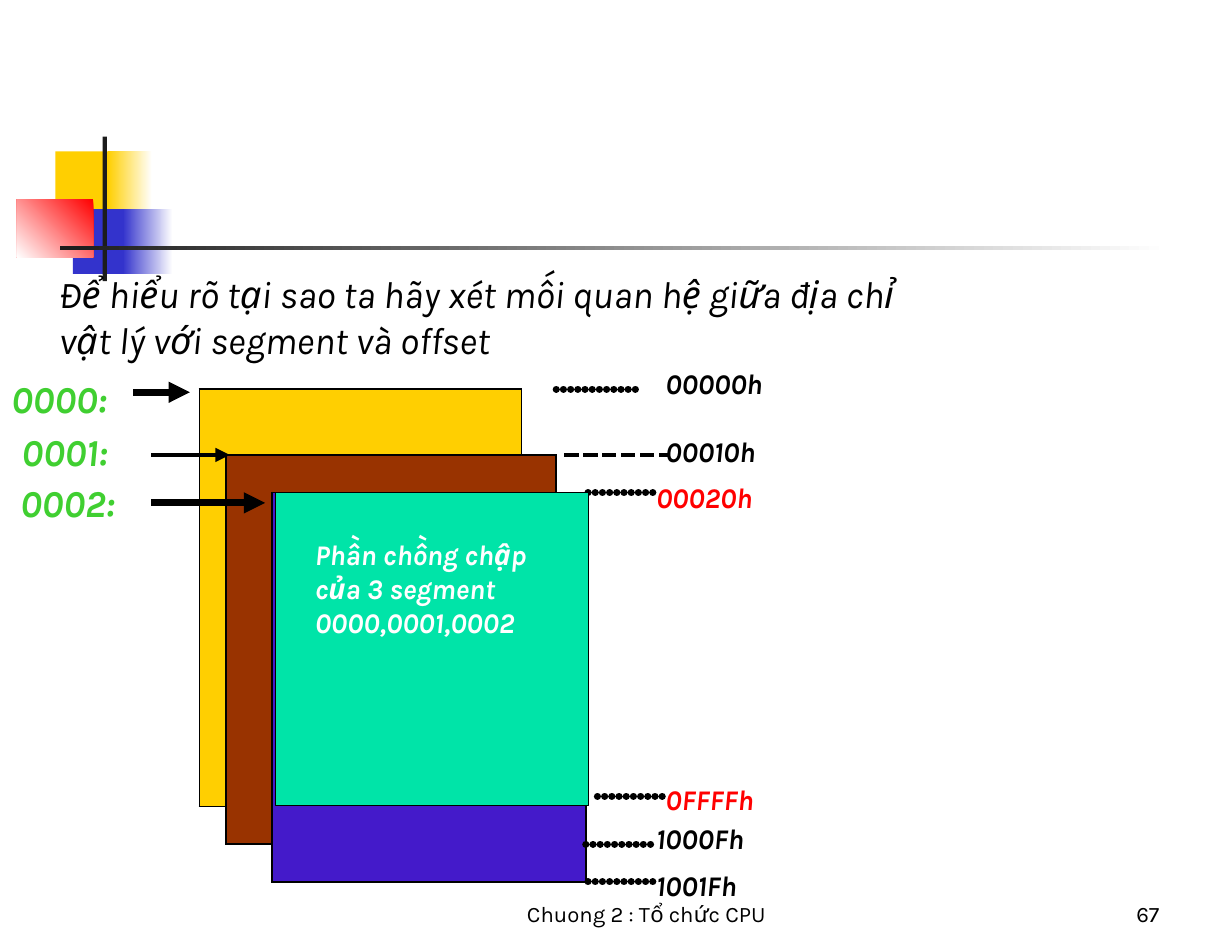
from dataclasses import dataclass

from lxml import etree
from pptx import Presentation
from pptx.dml.color import RGBColor
from pptx.enum.dml import MSO_LINE
from pptx.enum.shapes import MSO_CONNECTOR, MSO_SHAPE
from pptx.enum.text import MSO_ANCHOR as Anchor, MSO_AUTO_SIZE as AutoSize, PP_ALIGN as Align
from pptx.oxml import parse_xml
from pptx.oxml.ns import nsdecls, qn
from pptx.util import Cm, Pt


@dataclass(frozen=True)
class Theme:
    font: str = "Karla"
    heading_size: float = 24
    label_size: float = 18
    footer_size: float = 14
    black: str = "000000"
    white: str = "FFFFFF"
    red: str = "FF0000"
    yellow: str = "FFCF01"
    blue: str = "3333CC"
    charcoal: str = "1C1C1C"
    brown: str = "993300"
    indigo: str = "441ACA"
    mint: str = "00E4A8"
    green: str = "40CF31"
    thin_line: float = 3
    thick_line: float = 4.5
    border: float = 1.08
    outline: float = 0.75


THEME = Theme()


def rgb(value):
    return RGBColor.from_string(value)


class SegmentSlide:
    def __init__(self, slide, theme):
        self.shapes = slide.shapes
        self.theme = theme

    def rectangle(self, place, color, gradient_to=None, angle=180, outlined=False):
        box = self.shapes.add_shape(MSO_SHAPE.RECTANGLE, *map(Cm, place))
        box.shadow.inherit = False
        if gradient_to:
            box.fill.gradient()
            box.fill.gradient_angle = angle
            for stop, stop_color in zip(box.fill.gradient_stops, (color, gradient_to)):
                stop.color.rgb = rgb(stop_color)
        else:
            box.fill.solid()
            box.fill.fore_color.rgb = rgb(color)
        if outlined:
            box.line.color.rgb = rgb(self.theme.black)
            box.line.width = Pt(self.theme.outline)
        else:
            box.line.fill.background()

    def text(self, text, place, size=None, color=None, bold=False, italic=True,
             align=Align.LEFT, anchor=Anchor.TOP, grow=True):
        box = self.shapes.add_textbox(*map(Cm, place))
        frame = box.text_frame
        frame.word_wrap = True
        frame.vertical_anchor = anchor
        frame.auto_size = AutoSize.SHAPE_TO_FIT_TEXT if grow else AutoSize.NONE
        para = frame.paragraphs[0]
        para.alignment = align
        span = para.add_run()
        span.text = text
        font = span.font
        font.name = self.theme.font
        font.size = Pt(size or self.theme.label_size)
        font.bold, font.italic = bold, italic
        font.color.rgb = rgb(color or self.theme.black)

    def segment(self, place, color):
        """Draw one memory segment as a bordered one-cell table."""
        table = self.shapes.add_table(1, 1, *map(Cm, place)).table
        table.first_row = table.horz_banding = False
        cell = table.cell(0, 0)
        properties = cell._tc.get_or_add_tcPr()
        for side in ("lnL", "lnR", "lnT", "lnB"):
            properties.append(parse_xml(
                f'<a:{side} {nsdecls("a")} w="{Pt(self.theme.border)}"><a:solidFill>'
                f'<a:srgbClr val="{self.theme.black}"/></a:solidFill></a:{side}>'))
        cell.fill.solid()
        cell.fill.fore_color.rgb = rgb(color)

    def line(self, left, right, y, width):
        connector = self.shapes.add_connector(
            MSO_CONNECTOR.STRAIGHT, Cm(left), Cm(y), Cm(right), Cm(y))
        connector.line.color.rgb = rgb(self.theme.black)
        connector.line.width = Pt(width)
        etree.SubElement(connector._element.spPr, qn("a:effectLst"))
        return connector

    def arrow(self, left, right, y, width):
        outline = self.line(left, right, y, width).get_or_add_ln()
        etree.SubElement(outline, qn("a:tailEnd"), type="triangle")

    def square_dots(self, left, right, y):
        connector = self.line(left, right, y, self.theme.thin_line)
        connector.line.dash_style = MSO_LINE.SQUARE_DOT

    def round_dots(self, left, right, y):
        """Draw touching round dots: near-zero dashes widened by round caps."""
        outline = self.line(left, right, y, self.theme.thick_line).get_or_add_ln()
        outline.set("cap", "rnd")
        dashes = etree.SubElement(outline, qn("a:custDash"))
        etree.SubElement(dashes, qn("a:ds"), d="1000", sp="100000")


def draw_decoration(page):
    theme = page.theme
    page.rectangle((1.24, 3.38, 1.32, 1.45), theme.yellow)
    page.rectangle((2.41, 3.38, 0.99, 1.45), theme.white, theme.yellow)
    page.rectangle((1.63, 4.67, 1.27, 1.45), theme.blue)
    page.rectangle((2.74, 4.67, 1.12, 1.45), theme.white, theme.blue)
    page.rectangle((0.38, 4.45, 1.7, 1.3), theme.red, theme.white, angle=225)
    page.rectangle((2.29, 3.05, 0.1, 3.23), theme.charcoal)
    page.rectangle((1.35, 5.49, 24.74, 0.1), theme.white, theme.charcoal)


def draw_memory(page):
    theme = page.theme
    page.segment((4.45, 8.69, 7.19, 9.32), theme.yellow)
    page.segment((5.05, 10.16, 7.37, 8.69), theme.brown)
    page.segment((6.07, 11, 7.01, 8.69), theme.indigo)

    # address, label left and top, dots left, right and height, dot style, colour
    addresses = (
        ("00000h", 14.61, 8.05, 12.42, 14.33, 8.69, page.round_dots, theme.black),
        ("00010h", 14.61, 9.58, 12.6, 14.91, 10.16, page.square_dots, theme.black),
        ("00020h", 14.4, 10.59, 13.13, 14.61, 11, page.round_dots, theme.red),
        ("0FFFFh", 14.61, 17.35, 13.34, 14.81, 17.78, page.round_dots, theme.red),
        ("1000Fh", 14.4, 18.21, 13.08, 14.55, 18.85, page.round_dots, theme.black),
        ("1001Fh", 14.4, 19.25, 13.13, 14.61, 19.69, page.round_dots, theme.black),
    )
    for address, left, top, start, end, y, dots, color in addresses:
        dots(start, end, y)
        page.text(address, (left, top, 4.45, 1.02), color=color, bold=True)

    page.rectangle((6.15, 11, 6.99, 6.99), theme.mint, outlined=True)
    page.text("Phần chồng chập của 3 segment 0000,0001,0002",
              (6.78, 11.86, 5.92, 2.54), color=theme.white, bold=True)

    # segment, label left and top, arrow left, right, height and width
    pointers = (
        ("0000:", 0, 8.26, 2.97, 4.24, 8.76, theme.thick_line),
        ("0001:", 0.23, 9.45, 3.38, 5.13, 10.16, theme.thin_line),
        ("0002:", 0.2, 10.59, 3.38, 5.92, 11.23, theme.thick_line),
    )
    for name, left, top, start, end, y, width in pointers:
        page.text(name, (left, top, 3.18, 1.27), size=theme.heading_size,
                  color=theme.green, bold=True)
        page.arrow(start, end, y, width)


def draw_footer(page):
    footer = dict(size=page.theme.footer_size, italic=False, anchor=Anchor.BOTTOM, grow=False)
    page.text("Chuong 2 : Tổ chức CPU", (10.08, 19.43, 8.71, 1.4), align=Align.CENTER, **footer)
    page.text("67", (20.4, 19.43, 5.74, 1.4), align=Align.RIGHT, **footer)


def main():
    deck = Presentation()
    deck.slide_width, deck.slide_height = Cm(27.51), Cm(21.08)
    page = SegmentSlide(deck.slides.add_slide(deck.slide_layouts[6]), THEME)
    draw_decoration(page)
    page.text("Để hiểu rõ tại sao ta hãy xét mối quan hệ giữa địa chỉ vật lý với segment và offset",
              (1.07, 5.92, 19.48, 2.29), size=THEME.heading_size)
    draw_memory(page)
    draw_footer(page)
    deck.save("out.pptx")


if __name__ == "__main__":
    main()
